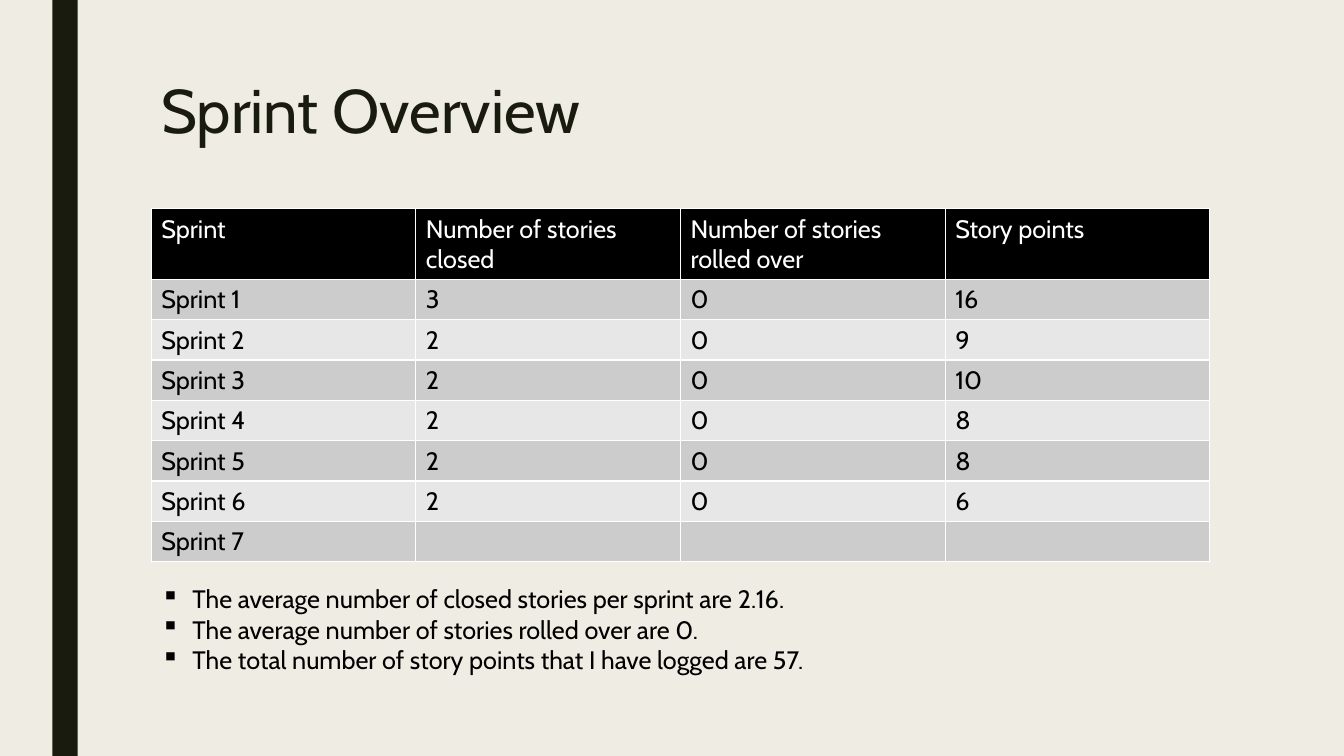
from lxml.etree import SubElement as Sub
from pptx import Presentation
from pptx.dml.color import RGBColor as Rgb
from pptx.enum.shapes import MSO_SHAPE as Shape
from pptx.oxml.ns import qn
from pptx.util import Inches, Pt

INK, BLACK, WHITE = "191B0E", "000000", "FFFFFF"
BANDS = "E7E7E7", "CCCCCC"
LEFT, WIDE = Inches(1.5), Inches(10.5)


def paint(fill, tint):
    fill.solid()
    fill.fore_color.rgb = Rgb.from_string(tint)


def write(par, text, size=18, tint=BLACK, lead=None, mark=None):
    """Fill one paragraph, with a hanging bullet when mark is given."""
    run = par.add_run()
    run.text = text
    font = run.font
    font.name, font.size, font.bold = "Cabin", Pt(size), False
    paint(font.fill, tint)
    if lead:
        par.line_spacing = lead
    if mark:
        props = par._p.get_or_add_pPr()
        dent = Inches(0.31)
        props.set("marL", str(dent))
        props.set("indent", str(-dent))
        Sub(props, qn("a:buChar"), char=mark)


deck = Presentation()
deck.slide_width, deck.slide_height = Inches(13.33), Inches(7.5)
slide = deck.slides.add_slide(deck.slide_layouts[6])
paint(slide.background.fill, "EFEDE3")
shapes = slide.shapes

bar = shapes.add_shape(Shape.RECTANGLE, Inches(0.52), 0,
                       Inches(0.25), deck.slide_height)
bar.shadow.inherit = False
paint(bar.fill, INK)
bar.line.fill.background()

title = shapes.add_textbox(LEFT, Inches(0.75), WIDE, Inches(1.32)).text_frame
title.word_wrap = True
write(title.paragraphs[0], "Sprint Overview", size=44, tint=INK, lead=0.89)

# Stories closed, stories rolled over, story points
sprints = [(3, 0, 16), (2, 0, 9), (2, 0, 10), (2, 0, 8),
           (2, 0, 8), (2, 0, 6), ("", "", "")]
rows = [("Sprint", "Number of stories closed",
         "Number of stories rolled over", "Story points")]
rows += [(f"Sprint {n}", *vals) for n, vals in enumerate(sprints, 1)]

head, step = Inches(0.7), Inches(0.4)
grid = shapes.add_table(len(rows), len(rows[0]), LEFT, Inches(2.07),
                        WIDE, head + step * len(sprints)).table
for r, row in enumerate(rows):
    grid.rows[r].height = step if r else head
    for c, val in enumerate(row):
        cell = grid.cell(r, c)
        paint(cell.fill, BANDS[r % 2] if r else BLACK)
        if val != "":
            write(cell.text_frame.paragraphs[0], str(val),
                  tint=BLACK if r else WHITE)

notes = ["The average number of closed stories per sprint are 2.16.",
         "The average number of stories rolled over are 0.",
         "The total number of story points that I have logged are 57."]
frame = shapes.add_textbox(LEFT, Inches(5.74), WIDE * 0.635,
                           Inches(1.01)).text_frame
frame.word_wrap = True
for n, note in enumerate(notes):
    par = frame.add_paragraph() if n else frame.paragraphs[0]
    write(par, note, mark="▪")

deck.save("out.pptx")
